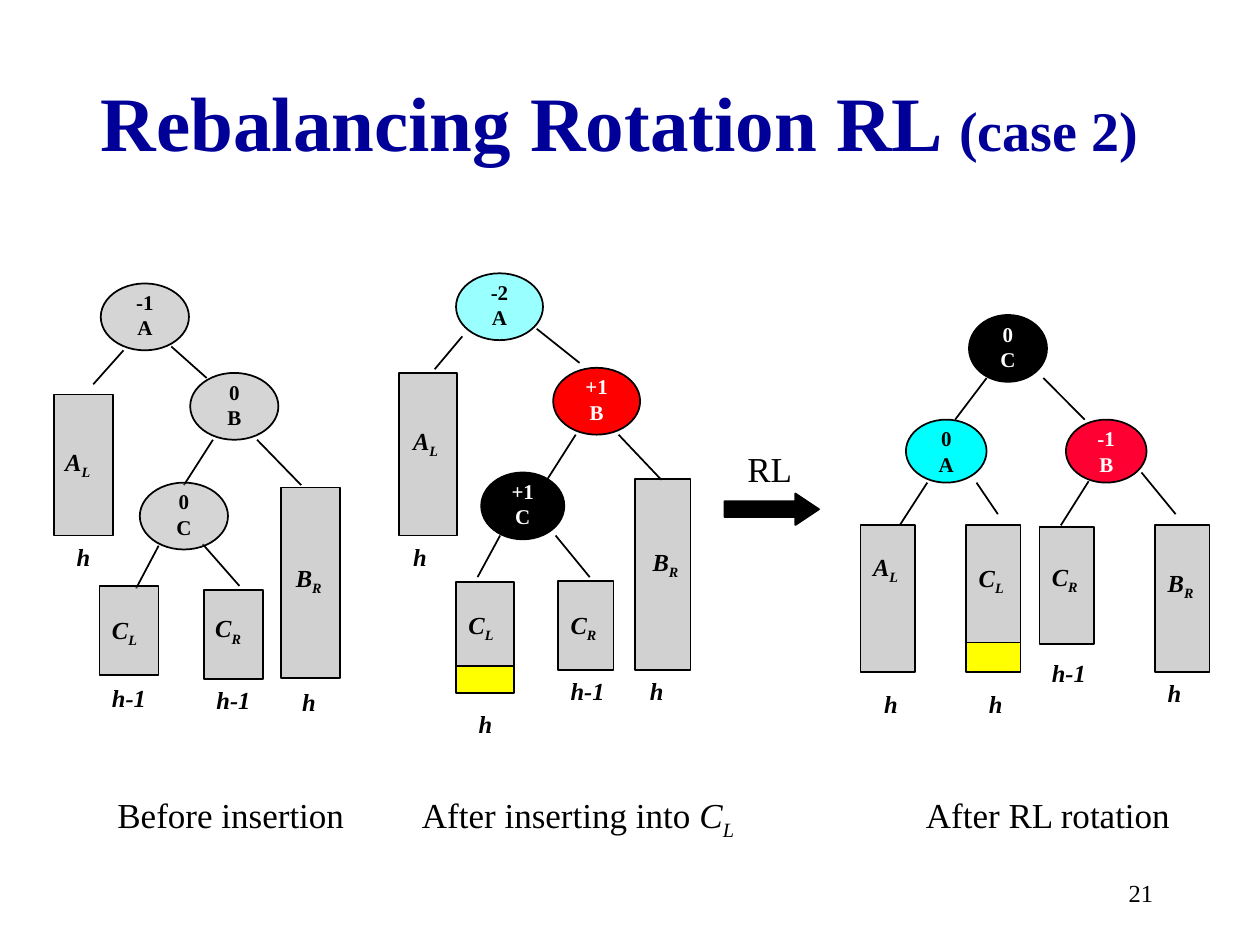
"""Build a slide showing an AVL tree before and after an RL rotation."""
from lxml import etree
from pptx import Presentation, util as u
from pptx.dml import color
from pptx.enum import shapes as s, text as t
from pptx.oxml import ns

BLACK = color.RGBColor(0x00, 0x00, 0x00)
WHITE = color.RGBColor(0xFF, 0xFF, 0xFF)
NAVY = color.RGBColor(0x00, 0x00, 0x99)
GRAY = color.RGBColor(0x96, 0x96, 0x96)
CYAN = color.RGBColor(0x00, 0xFF, 0xFF)
RED = color.RGBColor(0xFF, 0x00, 0x00)
CRIMSON = color.RGBColor(0xFF, 0x00, 0x33)
YELLOW = color.RGBColor(0xFF, 0xFF, 0x00)

BEFORE = {
    "edges": [(70.6, 200.2, 53.3, 219.6), (121.7, 251.3, 105.1, 277.2),
              (146.9, 251.3, 172.1, 277.2), (97.9, 198, 118.1, 216),
              (90.7, 311.8, 77.8, 336.2), (115.9, 311, 136.8, 334.8)],
    "subtrees": [("AL", (31, 225.4, 33.8, 80.6), (30.2, 252), "h", (36.7, 306)),
                 ("CL", (56.9, 334.8, 33.8, 51.1), (56.9, 347.8), "h-1", (56.9, 386.6)),
                 ("CR", (116.6, 337, 33.8, 51.1), (115.9, 347), "h-1", (116.6, 388.1)),
                 ("BR", (160.6, 278.6, 33.8, 108.7), (162, 318.2), "h", (165.6, 388.8))],
    "nodes": [("-1\nA", (57.6, 162, 50.4, 38.2), GRAY, 40, BLACK),
              ("0\nB", (108.7, 213.1, 50.4, 38.2), GRAY, 40, BLACK),
              ("0\nC", (79.9, 275.8, 50.4, 38.2), GRAY, 40, BLACK)],
}
INSERTED = {
    "edges": [(264.2, 192.2, 248.4, 211), (306.7, 187.9, 331.2, 207.4),
              (329, 248.4, 312.5, 274.3), (353.5, 248.4, 378, 274.3),
              (285.8, 306, 272.9, 329.8), (317.5, 306, 337, 329.8)],
    "subtrees": [("AL", (228.2, 213.1, 33.1, 92.9), (229, 239.8), "h", (229, 306)),
                 ("BR", (362.9, 273.6, 31.7, 109.4), (365.8, 308.9), "h", (364.3, 383)),
                 ("CR", (319, 331.9, 31.7, 51.1), (319, 344.9), "h-1", (319, 383)),
                 ("CL", (260.6, 332.6, 33.1, 48.2), (260.6, 344.9), "h", (266.4, 401.8))],
    "added": (260.6, 380.9, 33.1, 15.1),
    "nodes": [("-2\nA", (260.6, 156.2, 49.7, 38.2), CYAN, 40, BLACK),
              ("+1\nB", (316.1, 210.2, 49.7, 38.2), RED, 100, WHITE),
              ("+1\nC", (275, 270, 47.5, 38.2), BLACK, 100, WHITE)],
}
ROTATED = {
    "edges": [(529.9, 275.8, 514.1, 300.2), (596.2, 216, 619.9, 239.8),
              (652.3, 270, 671.8, 293.8), (622.1, 275, 606.2, 300.2),
              (558, 275.8, 570.2, 293.8), (563.8, 216, 545.8, 239.8)],
    "subtrees": [("AL", (491.8, 300.2, 31, 84), (491.8, 311.8), "h", (498.2, 390.2)),
                 ("CL", (552.2, 300.2, 31, 67), (552.2, 318.2), "h", (558, 390.2)),
                 ("CR", (594, 301, 31, 67), (594, 317.5), "h-1", (594, 372.2)),
                 ("BR", (660.2, 300.2, 31, 84), (660.2, 321.1), "h", (660.2, 383.8))],
    "added": (552.2, 367.2, 31, 16.8),
    "nodes": [("-1\nB", (609.1, 239.8, 46.1, 36), CRIMSON, 100, WHITE),
              ("0\nA", (517.7, 239.8, 46.1, 36), CYAN, 100, BLACK),
              ("0\nC", (553.7, 180, 44.6, 38.2), BLACK, 100, WHITE)],
}


def add_text(paragraph, content, *, size, ink=BLACK, bold=False, italic=False,
             subscript=False, font="Times New Roman"):
    for index, line in enumerate(content.split("\n")):
        if index:
            paragraph.add_line_break()
        run = paragraph.add_run()
        run.text = line
        run.font.name = font
        run.font.size = u.Pt(size)
        run.font.bold = bold
        run.font.italic = italic
        run.font.color.rgb = ink
        if subscript:
            run.font._element.set("baseline", "-25000")


class TreeSlide:
    def __init__(self, slide, line_width=1):
        self.slide = slide
        self.line_width = u.Pt(line_width)

    def text_box(self, bounds, align=t.PP_ALIGN.LEFT, anchor=t.MSO_ANCHOR.TOP):
        box = self.slide.shapes.add_textbox(*map(u.Pt, bounds))
        box.text_frame.word_wrap = True
        box.text_frame.vertical_anchor = anchor
        paragraph = box.text_frame.paragraphs[0]
        paragraph.alignment = align
        return paragraph

    def shape(self, kind, bounds, fill, opacity=100):
        shape = self.slide.shapes.add_shape(kind, *map(u.Pt, bounds))
        shape.shadow.inherit = False
        shape.fill.solid()
        shape.fill.fore_color.rgb = fill
        if opacity < 100:
            fill_color = shape._element.spPr.find(".//" + ns.qn("a:srgbClr"))
            etree.SubElement(fill_color, ns.qn("a:alpha"), val=str(opacity * 1000))
        shape.line.color.rgb = BLACK
        shape.line.width = self.line_width
        return shape

    def edge(self, points):
        connector = self.slide.shapes.add_connector(
            s.MSO_CONNECTOR.STRAIGHT, *map(u.Pt, points))
        connector.line.color.rgb = BLACK
        connector.line.width = self.line_width
        etree.SubElement(connector._element.spPr, ns.qn("a:effectLst"))

    def node(self, label, bounds, fill, opacity, ink):
        self.shape(s.MSO_SHAPE.OVAL, bounds, fill, opacity)
        left, top, width, _ = bounds
        paragraph = self.text_box((left + 4.3, top, width - 8.6, 36), t.PP_ALIGN.CENTER)
        add_text(paragraph, label, size=12, ink=ink, bold=True)

    def subtree(self, name, bounds, name_at, height, height_at):
        self.shape(s.MSO_SHAPE.RECTANGLE, bounds, GRAY, 43)
        label = self.text_box((*name_at, 50, 24))
        add_text(label, name[0], size=14, bold=True, italic=True)
        add_text(label, name[1], size=14, bold=True, italic=True, subscript=True)
        add_text(self.text_box((*height_at, 50, 24)), height, size=14, bold=True, italic=True)

    def tree(self, edges, subtrees, nodes, added=None):
        for points in edges:
            self.edge(points)
        for subtree in subtrees:
            self.subtree(*subtree)
        if added:
            self.shape(s.MSO_SHAPE.RECTANGLE, added, YELLOW)
        for node in nodes:
            self.node(*node)

    def rotation_arrow(self, bounds):
        arrow = self.shape(s.MSO_SHAPE.RIGHT_ARROW, bounds, BLACK)
        arrow.adjustments[0] = 0.5
        arrow.adjustments[1] = 0.75

    def caption(self, content, left, top, width):
        paragraph = self.text_box((left, top, width, 31))
        add_text(paragraph, content, size=20)
        return paragraph


def main():
    presentation = Presentation()
    presentation.slide_width = u.Pt(720)
    presentation.slide_height = u.Pt(540)
    page = TreeSlide(presentation.slides.add_slide(presentation.slide_layouts[6]))

    title = page.text_box((48, 24, 612, 90), t.PP_ALIGN.CENTER, t.MSO_ANCHOR.MIDDLE)
    add_text(title, "Rebalancing Rotation RL ", size=44, ink=NAVY, bold=True)
    add_text(title, "(case 2)", size=32, ink=NAVY, bold=True)

    for tree in (BEFORE, INSERTED, ROTATED):
        page.tree(**tree)
    page.rotation_arrow((414, 282, 54, 18))
    page.caption("RL", 420, 252, 42)

    page.caption("Before insertion", 60, 450, 144)
    inserting = page.caption("After inserting into ", 234, 450, 204)
    add_text(inserting, "C", size=20, italic=True)
    add_text(inserting, "L", size=20, italic=True, subscript=True)
    page.caption("After RL rotation", 522, 450, 168)

    number = page.text_box((516, 492, 150, 36), t.PP_ALIGN.RIGHT, t.MSO_ANCHOR.MIDDLE)
    add_text(number, "21", size=14)
    presentation.save("out.pptx")


if __name__ == "__main__":
    main()
